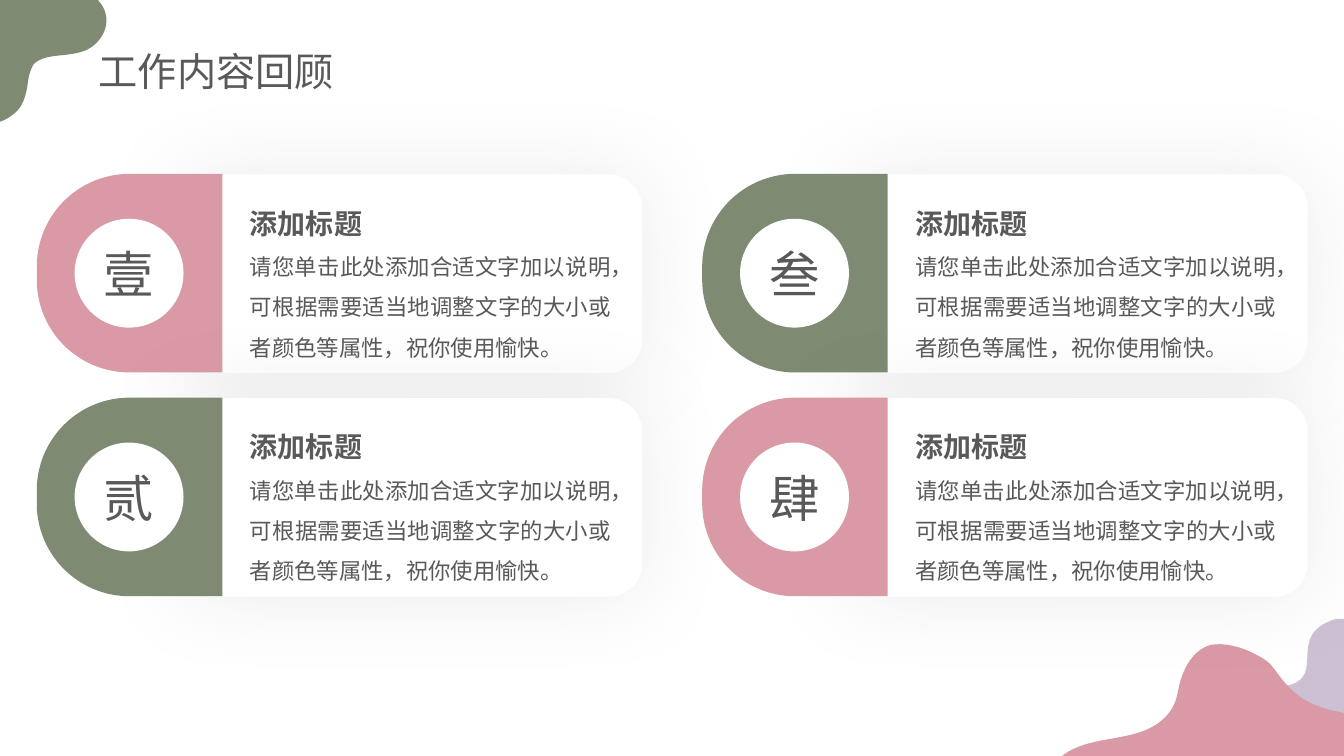
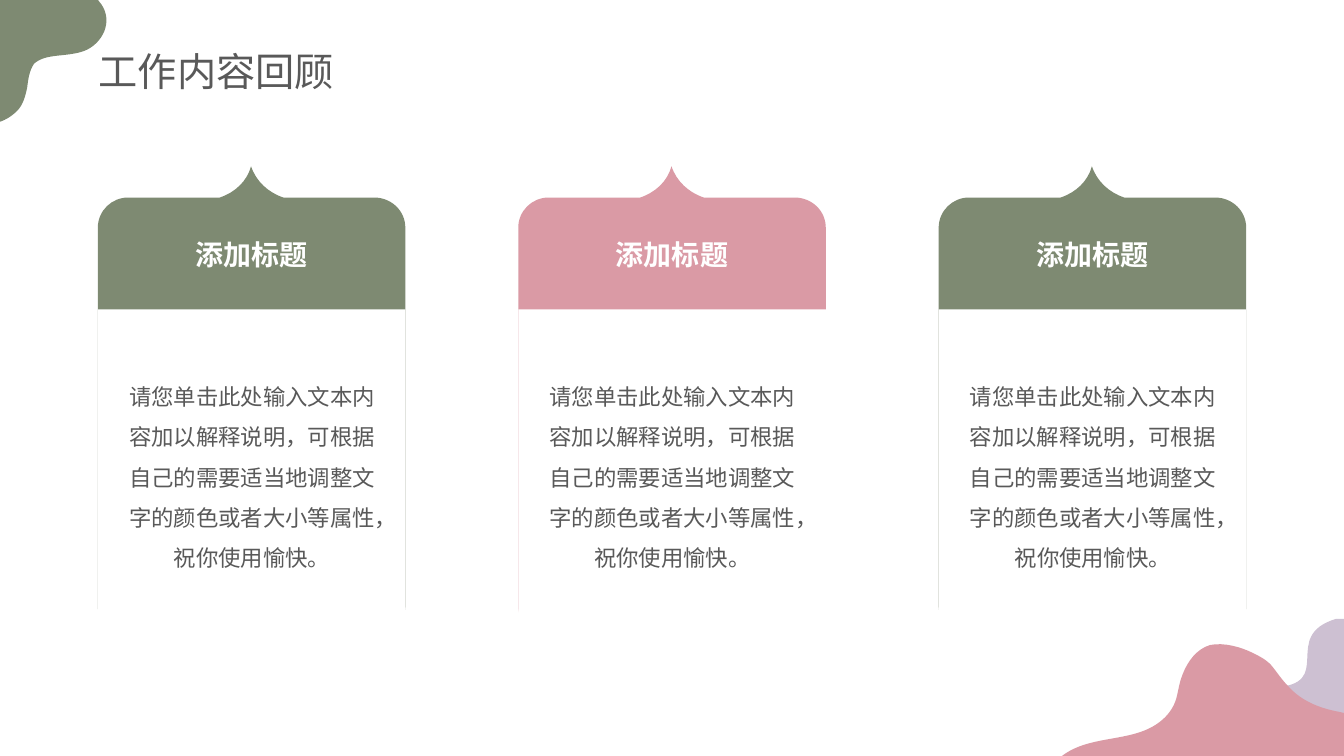
from lxml import etree
from pptx import Presentation, util as u
from pptx.dml.color import RGBColor
from pptx.enum import shapes, text
from pptx.oxml.ns import qn

GREEN = RGBColor(0x7E, 0x8A, 0x72)
PINK = RGBColor(0xDA, 0x9A, 0xA5)
LILAC = RGBColor(0xCD, 0xC0, 0xD2)
WHITE = RGBColor(0xFF, 0xFF, 0xFF)
GREY = RGBColor(0x59, 0x59, 0x59)

SHAPE = shapes.MSO_SHAPE
ALIGN = text.PP_ALIGN

# Contours in inches: a pair is a line to a point, six numbers are a Bezier curve
CORNER_BLOB = [
    (0.59, 0.55),
    (0.5, 0.56, 0.41, 0.57, 0.34, 0.63), (0.29, 0.7, 0.28, 0.79, 0.27, 0.87),
    (0.25, 0.96, 0.23, 1.04, 0.17, 1.1), (0.11, 1.16, 0.04, 1.2, -0.04, 1.22),
    (-0.08, 1.22, -0.13, 1.23, -0.17, 1.22), (-0.19, 1.21, -0.2, 1.2, -0.21, 1.18),
    (-0.23, 1.17), (-0.4, 1.09, -0.54, 0.94, -0.62, 0.77),
    (-0.66, 0.68, -0.69, 0.59, -0.69, 0.5), (-0.68, 0.4, -0.64, 0.32, -0.56, 0.27),
    (-0.49, 0.22, -0.4, 0.19, -0.36, 0.1), (-0.33, 0.01, -0.33, -0.09, -0.31, -0.18),
    (-0.28, -0.26, -0.23, -0.34, -0.14, -0.36), (-0.06, -0.38, 0.03, -0.36, 0.1, -0.31),
    (0.18, -0.26, 0.24, -0.18, 0.32, -0.12), (0.39, -0.07, 0.46, -0.05, 0.54, -0.07),
    (0.69, -0.09, 0.85, -0.14, 0.98, 0.01), (1.13, 0.18, 1.04, 0.4, 0.87, 0.49),
    (0.79, 0.53, 0.69, 0.54, 0.59, 0.55),
]
SIDE_BLOB = [
    (13.45, 7.55), (12.01, 7.55), (12.03, 7.55),
    (12.4, 7.46, 12.03, 6.87, 12.63, 6.82), (13.26, 6.79, 12.69, 6.31, 13.25, 6.14),
    (13.45, 6.14),
]
BOTTOM_BLOB = [
    (10.33, 8.13),
    (10.25, 7.87, 10.37, 7.58, 10.61, 7.45), (10.9, 7.29, 11.28, 7.36, 11.53, 7.14),
    (11.6, 7.08, 11.65, 7, 11.67, 6.92), (11.69, 6.84, 11.7, 6.76, 11.73, 6.69),
    (11.78, 6.56, 11.87, 6.44, 12, 6.4), (12.14, 6.37, 12.31, 6.42, 12.43, 6.48),
    (12.49, 6.51, 12.55, 6.54, 12.6, 6.59), (12.66, 6.66, 12.71, 6.74, 12.77, 6.8),
    (12.89, 6.94, 13.05, 7.01, 13.22, 7.05), (13.37, 7.08, 13.51, 7.11, 13.62, 7.21),
    (13.72, 7.31, 13.78, 7.44, 13.77, 7.59), (13.76, 7.71, 13.7, 7.83, 13.59, 7.89),
    (13.46, 7.96, 13.3, 7.95, 13.17, 7.92), (13.01, 7.89, 12.85, 7.83, 12.68, 7.86),
    (12.5, 7.88, 12.37, 7.98, 12.24, 8.1), (12.12, 8.21, 12, 8.32, 11.84, 8.33),
    (11.69, 8.34, 11.57, 8.28, 11.46, 8.19), (11.34, 8.08, 11.22, 7.98, 11.05, 7.98),
    (10.97, 7.98, 10.89, 8, 10.83, 8.04), (10.78, 8.07, 10.74, 8.1, 10.72, 8.15),
    (10.71, 8.18, 10.71, 8.22, 10.69, 8.25), (10.65, 8.35, 10.51, 8.36, 10.43, 8.3),
    (10.38, 8.26, 10.35, 8.2, 10.33, 8.13),
]
# Pointed card, its opening and its panel, from the card's left edge and tip
CARD_EDGE = [
    (2.74, 0.31), (1.84, 0.31),
    (1.69, 0.26, 1.57, 0.15, 1.52, 0), (1.48, 0.15, 1.36, 0.26, 1.21, 0.31),
    (0.3, 0.31), (0.14, 0.31, 0, 0.44, 0, 0.61),
    (0, 4.36), (0, 4.53, 0.14, 4.66, 0.3, 4.66),
    (2.74, 4.66), (2.91, 4.66, 3.05, 4.53, 3.05, 4.36),
    (3.05, 0.61), (3.05, 0.44, 2.91, 0.31, 2.74, 0.31),
]
CARD_OPENING = [
    (3.02, 4.36), (3.02, 4.51, 2.9, 4.63, 2.74, 4.63),
    (0.3, 4.63), (0.15, 4.63, 0.03, 4.51, 0.03, 4.36),
    (0.03, 2.37), (3.02, 2.37),
]
CARD_PANEL = [
    (0, 1.42), (3.05, 1.42), (3.05, 4.43), (3.05, 4.56, 2.95, 4.66, 2.82, 4.66),
    (0.23, 4.66), (0.1, 4.66, 0, 4.56, 0, 4.43),
]


class Report:
    """Holds the deck, its text styles and the current page."""

    STYLES = {
        "title": ({"alignment": ALIGN.LEFT}, {"size": u.Pt(28)}, GREY),
        "numeral": ({"alignment": ALIGN.CENTER}, {"size": u.Pt(36)}, GREY),
        "heading": ({"line_spacing": 1.5}, {"size": u.Pt(20), "bold": True}, GREY),
        "detail": ({"alignment": ALIGN.JUSTIFY, "line_spacing": 1.5},
                   {"size": u.Pt(16)}, GREY),
        "label": ({"alignment": ALIGN.CENTER},
                  {"size": u.Pt(20), "bold": True}, WHITE),
        "note": ({"alignment": ALIGN.CENTER, "line_spacing": 1.5},
                 {"size": u.Pt(16)}, GREY),
    }

    def __init__(self):
        self.deck = Presentation()
        self.deck.slide_width = u.Inches(13.33)
        self.deck.slide_height = u.Inches(7.5)
        self.page = None

    def new_page(self, title):
        self.page = self.deck.slides.add_slide(self.deck.slide_layouts[5])
        # Corner decoration
        for contour, color in ((CORNER_BLOB, GREEN), (SIDE_BLOB, LILAC),
                               (BOTTOM_BLOB, PINK)):
            self.outline([contour], color)
        # Title, raised above the decoration
        box = self.page.shapes.title
        box._element.getparent().append(box._element)
        place = {"left": 0.88, "top": 0.42, "width": 3.03, "height": 0.57}
        for name, value in place.items():
            setattr(box, name, u.Inches(value))
        self.fill_text(box.text_frame, [("title", title)])

    def fill_text(self, frame, lines, anchor=text.MSO_ANCHOR.TOP,
                  auto_size=text.MSO_AUTO_SIZE.SHAPE_TO_FIT_TEXT):
        settings = {"word_wrap": True, "auto_size": auto_size, "vertical_anchor": anchor}
        for name, value in settings.items():
            setattr(frame, name, value)
        for index, (style, words) in enumerate(lines):
            para = frame.add_paragraph() if index else frame.paragraphs[0]
            span = para.add_run()
            span.text = words
            layout, letters, color = self.STYLES[style]
            for name, value in layout.items():
                setattr(para, name, value)
            for name, value in {"name": "Arial", **letters}.items():
                setattr(span.font, name, value)
            span.font.color.rgb = color

    def text_box(self, left, top, width, height, lines):
        box = self.page.shapes.add_textbox(*map(u.Inches, (left, top, width, height)))
        self.fill_text(box.text_frame, lines)

    def paint(self, shape, color):
        shape.shadow.inherit = False
        shape.fill.solid()
        shape.fill.fore_color.rgb = color
        shape.line.fill.background()
        return shape

    def shape(self, kind, left, top, width, height, color, adjust=(), turn=0):
        shape = self.page.shapes.add_shape(
            kind, *map(u.Inches, (left, top, width, height)))
        for index, value in enumerate(adjust):
            shape.adjustments[index] = value
        shape.rotation = turn
        return self.paint(shape, color)

    def outline(self, contours, color, left=0, top=0):
        def place(x, y):
            return u.Inches(left + x), u.Inches(top + y)

        # Straight outline through the end points
        builder = None
        for contour in contours:
            first, *others = [place(*part[-2:]) for part in contour]
            if builder is None:
                builder = self.page.shapes.build_freeform(*first)
            else:
                builder.move_to(*first)
            builder.add_line_segments(others, close=True)
        shape = builder.convert_to_shape()

        # Bend the segments that have control points
        parts = [part for contour in contours for part in contour[1:]]
        segments = list(shape._element.iter(qn("a:lnTo")))
        for segment, part in zip(segments, parts):
            if len(part) == 6:
                segment.tag = qn("a:cubicBezTo")
                for index, start in enumerate((0, 2)):
                    x, y = place(*part[start:start + 2])
                    point = etree.Element(qn("a:pt"), x=str(x - shape.left),
                                          y=str(y - shape.top))
                    segment.insert(index, point)
        return self.paint(shape, color)

    def soft_shadow(self, shape):
        effects = shape._element.spPr.find(qn("a:effectLst"))
        shadow = etree.SubElement(effects, qn("a:outerShdw"), blurRad=str(u.Pt(60)),
                                  dist="0", dir="0", algn="ctr", rotWithShape="0")
        tint = etree.SubElement(shadow, qn("a:srgbClr"), val="808080")
        etree.SubElement(tint, qn("a:alpha"), val="15000")

    def numbered_card(self, left, top, color, numeral, heading, detail):
        panel = self.shape(SHAPE.ROUNDED_RECTANGLE, left + 1.46, top, 4.55, 1.97, WHITE)
        self.soft_shadow(panel)
        # Tab lying on its side, so its box is offset from the card's corner
        self.shape(SHAPE.ROUND_2_SAME_RECTANGLE, left - 0.06, top + 0.06, 1.97, 1.84,
                   color, adjust=(0.5, 0), turn=270)
        disc = self.shape(SHAPE.OVAL, left + 0.38, top + 0.44, 1.08, 1.08, WHITE)
        self.fill_text(disc.text_frame, [("numeral", numeral)],
                       text.MSO_ANCHOR.MIDDLE, text.MSO_AUTO_SIZE.NONE)
        self.text_box(left + 2.02, top + 0.1, 3.78, 1.77,
                      [("heading", heading), ("detail", detail)])

    def pointed_card(self, left, top, color, label, notes):
        self.outline([CARD_EDGE, CARD_OPENING], color, left, top)
        self.outline([CARD_PANEL], WHITE, left, top)
        self.text_box(left + 0.8, top + 0.66, 1.45, 0.44, [("label", label)])
        self.text_box(left + 0.15, top + 1.97, 2.76, 2.07,
                      [("note", words) for words in notes])


def main():
    report = Report()
    title, heading = "工作内容回顾", "添加标题"

    # Four numbered cards, filled column by column
    report.new_page(title)
    detail = "请您单击此处添加合适文字加以说明，可根据需要适当地调整文字的大小或者颜色等属性，祝你使用愉快。"
    cards = zip("壹贰叁肆", (PINK, GREEN, GREEN, PINK))
    for index, (numeral, color) in enumerate(cards):
        column, row = divmod(index, 2)
        report.numbered_card(0.36 + 6.6 * column, 1.73 + 2.22 * row,
                             color, numeral, heading, detail)

    # Three pointed cards in a row
    report.new_page(title)
    notes = ["请您单击此处输入文本内容加以解释说明，可根据自己的需要适当地调整文字的颜色或者大小等属性，",
             "祝你使用愉快。"]
    for index, color in enumerate((GREEN, PINK, GREEN)):
        report.pointed_card(0.97 + 4.17 * index, 1.65, color, heading, notes)

    report.deck.save("out.pptx")


if __name__ == "__main__":
    main()
